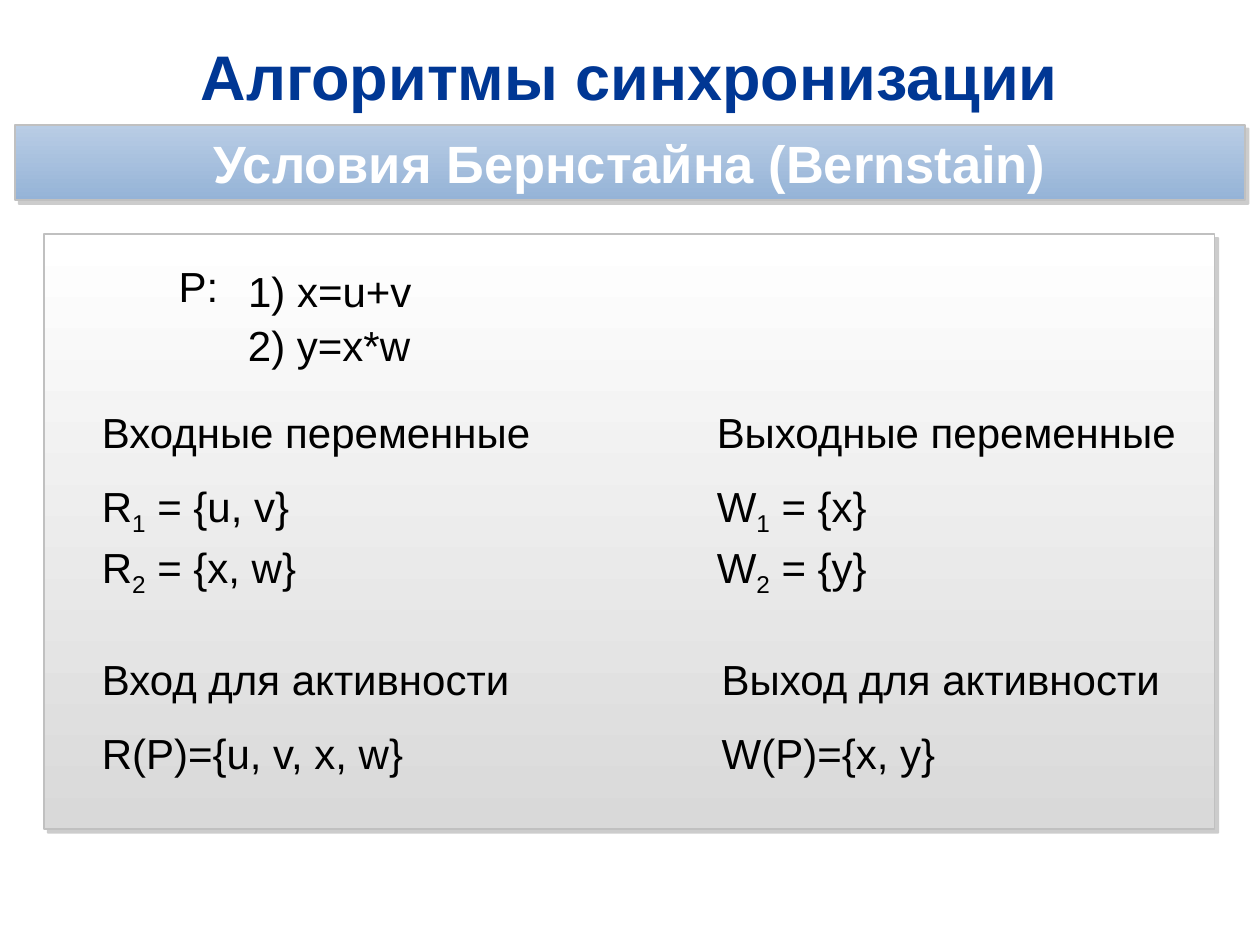
"""Build the slide on Bernstein's conditions for synchronization algorithms."""
from typing import NamedTuple

from lxml.etree import SubElement
from pptx import Presentation
from pptx.dml.color import RGBColor
from pptx.enum.shapes import MSO_SHAPE as Shape
from pptx.enum.text import MSO_ANCHOR as Anchor, MSO_AUTO_SIZE as AutoSize, PP_ALIGN as Align
from pptx.oxml.ns import qn
from pptx.util import Pt

PX = 9144
FONT = "Arial"
COLORS = {
    "title": "003794", "text": "000000", "on_banner": "FFFFFF",
    "banner_top": "B9CDE5", "banner_bottom": "95B3D7",
    "panel_top": "FFFFFF", "panel_bottom": "D9D9D9",
    "border": "C0C0C0", "shadow": "808080",
}


class Box(NamedTuple):
    left: int
    top: int
    width: int
    height: int

    def emu(self) -> list[int]:
        return [side * PX for side in self]


class Line(NamedTuple):
    text: str
    subscript: str = ""
    rest: str = ""
    spacing: float | None = None


class Note(NamedTuple):
    box: Box
    lines: list[Line]


def color(name: str) -> RGBColor:
    return RGBColor.from_string(COLORS[name])


def style(paragraph, size: int, color_name: str, bold: bool = False) -> None:
    font = paragraph.font
    font.name, font.size, font.bold = FONT, Pt(size), bold
    font.color.rgb = color(color_name)


def write_heading(frame, text: str, size: int, color_name: str) -> None:
    frame.word_wrap = True
    frame.vertical_anchor = Anchor.MIDDLE
    heading = frame.paragraphs[0]
    heading.text = text
    heading.alignment = Align.CENTER
    style(heading, size, color_name, bold=True)


def draw_panel(slide, box: Box, gradient: str):
    panel = slide.shapes.add_shape(Shape.RECTANGLE, *box.emu())
    panel.fill.gradient()
    panel.fill.gradient_angle = 270
    for stop, end in zip(panel.fill.gradient_stops, ("top", "bottom")):
        stop.color.rgb = color(f"{gradient}_{end}")
    panel.line.color.rgb = color("border")
    panel.line.width = Pt(1)
    panel.shadow.inherit = False
    effects = panel._element.spPr.find(qn("a:effectLst"))
    shadow = SubElement(effects, qn("a:outerShdw"), dist=str(Pt(3)), dir="2700000",
                        algn="tl", rotWithShape="0")
    tint = SubElement(shadow, qn("a:srgbClr"), val=COLORS["shadow"])
    SubElement(tint, qn("a:alpha"), val="40000")
    return panel


def draw_note(slide, note: Note) -> None:
    frame = slide.shapes.add_textbox(*note.box.emu()).text_frame
    frame.word_wrap = True
    frame.auto_size = AutoSize.SHAPE_TO_FIT_TEXT
    for index, line in enumerate(note.lines):
        paragraph = frame.add_paragraph() if index else frame.paragraphs[0]
        style(paragraph, 24, "text")
        if index:
            paragraph.space_before = Pt(13)
        if line.spacing:
            paragraph.line_spacing = line.spacing
        paragraph.add_run().text = line.text
        if line.subscript:
            subscript = paragraph.add_run()
            subscript.text = line.subscript
            subscript._r.get_or_add_rPr().set("baseline", "-25000")
            paragraph.add_run().text = line.rest


def variables(heading: str, letter: str, first: str, second: str) -> list[Line]:
    return [Line(heading), Line(letter, "1", f" = {first}"),
            Line(letter, "2", f" = {second}", 0.5)]


NOTES = [
    Note(Box(132, 202, 89, 50), [Line("P:")]),
    Note(Box(187, 206, 219, 50), [Line("1) x=u+v")]),
    Note(Box(187, 249, 207, 50), [Line("2) y=x*w")]),
    Note(Box(71, 318, 362, 151), variables("Входные переменные", "R", "{u, v}", "{x, w}")),
    Note(Box(559, 318, 405, 151), variables("Выходные переменные", "W", "{x}", "{y}")),
    Note(Box(71, 514, 370, 111), [Line("Вход для активности"), Line("R(P)={u, v, x, w}")]),
    Note(Box(563, 514, 370, 111), [Line("Выход для активности"), Line("W(P)={x, y}")]),
]


def main() -> None:
    deck = Presentation()
    deck.slide_width, deck.slide_height = 1000 * PX, 750 * PX
    slide = deck.slides.add_slide(deck.slide_layouts[6])

    title = slide.shapes.add_textbox(*Box(35, 26, 929, 68).emu())
    write_heading(title.text_frame, "Алгоритмы синхронизации", 36, "title")

    banner = draw_panel(slide, Box(12, 99, 976, 60), "banner").text_frame
    banner.margin_left = banner.margin_right = 24 * PX
    banner.margin_top = banner.margin_bottom = 4 * PX
    write_heading(banner, "Условия Бернстайна (Bernstain)", 30, "on_banner")

    draw_panel(slide, Box(35, 186, 929, 472), "panel")
    for note in NOTES:
        draw_note(slide, note)
    deck.save("out.pptx")


if __name__ == "__main__":
    main()
